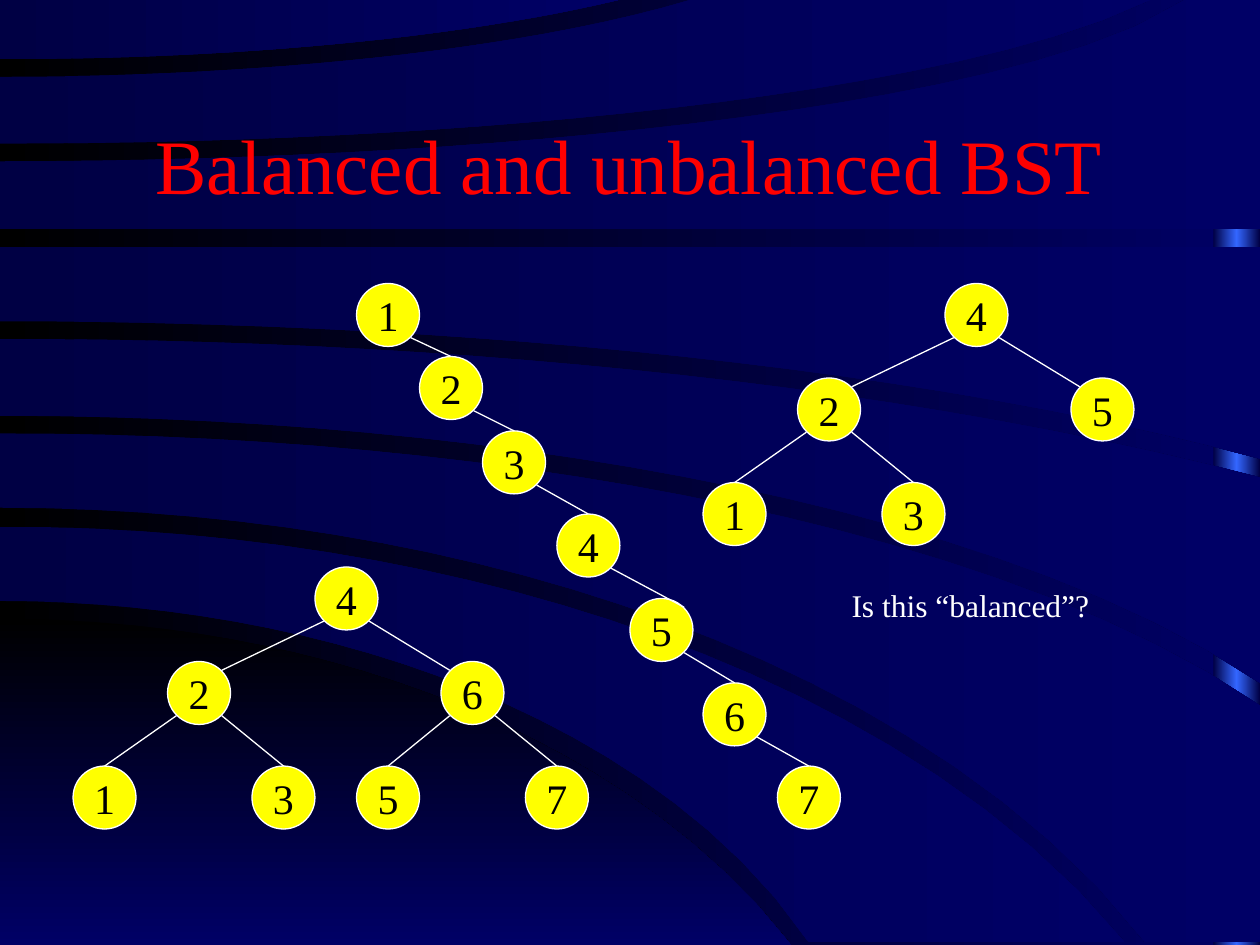
"""Build a slide comparing balanced and unbalanced binary search trees."""
import copy
import math

import pptx
import pptx.dml.color
import pptx.enum.shapes
import pptx.enum.text
import pptx.oxml.ns
import pptx.util
from pptx.util import Inches


def colour(value):
    return pptx.dml.color.RGBColor.from_string(value)


def write(box, text, size, ink, align="LEFT", anchor="TOP", wrap=False, before=0):
    frame = box.text_frame
    frame.word_wrap = wrap
    frame.vertical_anchor = pptx.enum.text.MSO_ANCHOR[anchor]
    para = frame.paragraphs[0]
    para.alignment = pptx.enum.text.PP_ALIGN[align]
    para.space_before = pptx.util.Pt(before)
    span = para.add_run()
    span.text = text
    span.font.name = "Times New Roman"
    span.font.size = pptx.util.Pt(size)
    span.font.color.rgb = colour(ink)


deck = pptx.Presentation()
deck.slide_width, deck.slide_height = Inches(10), Inches(7.5)
page = deck.slides.add_slide(deck.slide_layouts[6])
kinds = pptx.enum.shapes.MSO_SHAPE

strip = page.shapes.add_shape(kinds.RECTANGLE, Inches(9.63), 0, Inches(0.37), Inches(7.5))
strip.shadow.inherit = False
strip.line.fill.background()
strip.fill.gradient()
stop_list = strip.element.find(".//" + pptx.oxml.ns.qn("a:gsLst"))
stop_list.append(copy.deepcopy(stop_list[0]))

night, glow = ["000000", "000066"], ["000044", "000066"]
gradients = [
    (page.background.fill, night, 0),
    (strip.fill, ["000044", "3366FF", "000044"], 0),
]

# each edge is an elliptic arc: height at left, end x, end height, half-width
bands = [
    ((4.91, 6.28, 7.5, 7.1), (7.5, 6.28, 7.5, 20), [], night, 270),
    ((4.18, 8.93, 7.48, 9.9), (4.77, 6.42, 7.48, 7), [], glow, 0),
    ((3.44, 10, 5.6, 11.2), (4.03, 9.09, 7.48, 10), [(10, 7.48)], glow, 0),
    ((2.69, 10, 3.79, 14.5), (3.3, 10, 5.42, 11.2), [], glow, 0),
    ((1.96, 10, 1.96, 20), (2.55, 10, 3.64, 13.5), [], glow, 0),
    ((1.28, 9.4, 0, 9.7), (1.82, 10, 1.82, 20), [(10, 0)], glow, 0),
    ((0.61, 5.48, 0, 6.8), (1.14, 9.13, 0, 9.7), [], glow, 0),
    ((0, 4.91, 0, 20), (0.47, 4.91, 0, 6.6), [], glow, 0),
]
steps = 24
for upper, lower, corners, shades, angle in bands:
    arcs = []
    for start, end_x, end_y, half_width in (upper, lower):
        full_sweep = 1 - math.sqrt(1 - (end_x / half_width) ** 2)
        arc = []
        for step in range(steps + 1):
            x = end_x * step / steps
            sweep = 1 - math.sqrt(1 - (x / half_width) ** 2)
            arc.append((x, start + (end_y - start) * sweep / full_sweep))
        arcs.append(arc)
    outline = arcs[0] + corners + arcs[1][::-1]
    points = [(Inches(x), Inches(y)) for x, y in outline]
    builder = page.shapes.build_freeform(*points[0])
    builder.add_line_segments(points[1:])
    curve = builder.convert_to_shape()
    curve.shadow.inherit = False
    curve.line.fill.background()
    gradients.append((curve.fill, shades, angle))

for fill, shades, angle in gradients:
    fill.gradient()
    fill.gradient_angle = angle
    for index, (stop, shade) in enumerate(zip(fill.gradient_stops, shades)):
        stop.color.rgb = colour(shade)
        stop.position = index / (len(shades) - 1)

title = page.shapes.add_textbox(Inches(0.58), Inches(0.67), Inches(8.83), Inches(1.25))
write(title, "Balanced and unbalanced BST", 44, "FF0000", align="CENTER", anchor="MIDDLE", wrap=True)

# node slots: left, top, parent index, side of the child that its edge meets
bushy = [
    (0, 0, None, 0), (-1.17, 0.75, 0, 1), (1, 0.75, 0, -1), (-1.92, 1.58, 1, 0),
    (-0.5, 1.58, 1, 0), (0.33, 1.58, 2, 0), (1.67, 1.58, 2, 0),
]
chain = [
    (0, 0, None, 0), (0.5, 0.58, 0, 0), (1, 1.17, 1, 0), (1.59, 1.83, 2, 0),
    (2.17, 2.5, 3, 1), (2.75, 3.17, 4, 0), (3.34, 3.83, 5, 0),
]
trees = [
    ("42513", 7.5, 2.25, bushy),
    ("1234567", 2.83, 2.25, chain),
    ("4261357", 2.5, 4.5, bushy),
]
size, radius, corner = Inches(0.5), Inches(0.25), Inches(0.18)

for labels, root_left, root_top, slots in trees:
    nodes = []
    for label, (left, top, parent_index, side) in zip(labels, slots):
        node = page.shapes.add_shape(
            kinds.OVAL, Inches(root_left + left), Inches(root_top + top), size, size)
        node.shadow.inherit = False
        node.fill.solid()
        node.fill.fore_color.rgb = colour("FFFF00")
        node.line.color.rgb = colour("FFFFFF")
        node.line.width = pptx.util.Pt(0.75)
        write(node, label, 24, "000000", align="CENTER", anchor="MIDDLE", before=15)
        nodes.append(node)
        if parent_index is None:
            continue
        parent = nodes[parent_index]
        heading = 1 if node.left > parent.left else -1
        edge = page.shapes.add_connector(
            pptx.enum.shapes.MSO_CONNECTOR.STRAIGHT,
            parent.left + radius + heading * corner, parent.top + radius + corner,
            node.left + radius + side * corner, node.top + radius - corner)
        if side == 0:
            edge.end_connect(node, 0)
        edge.line.color.rgb = colour("FFFFFF")
        edge.line.width = pptx.util.Pt(0.75)
        edge.element.spPr.append(pptx.oxml.parse_xml(
            "<a:effectLst %s/>" % pptx.oxml.ns.nsdecls("a")))

question = page.shapes.add_textbox(Inches(6.66), Inches(4.6), Inches(2.09), Inches(0.4))
write(question, "Is this “balanced”?", 18, "FFFFFF", before=11.2)
question.text_frame.auto_size = pptx.enum.text.MSO_AUTO_SIZE.SHAPE_TO_FIT_TEXT

deck.save("out.pptx")
